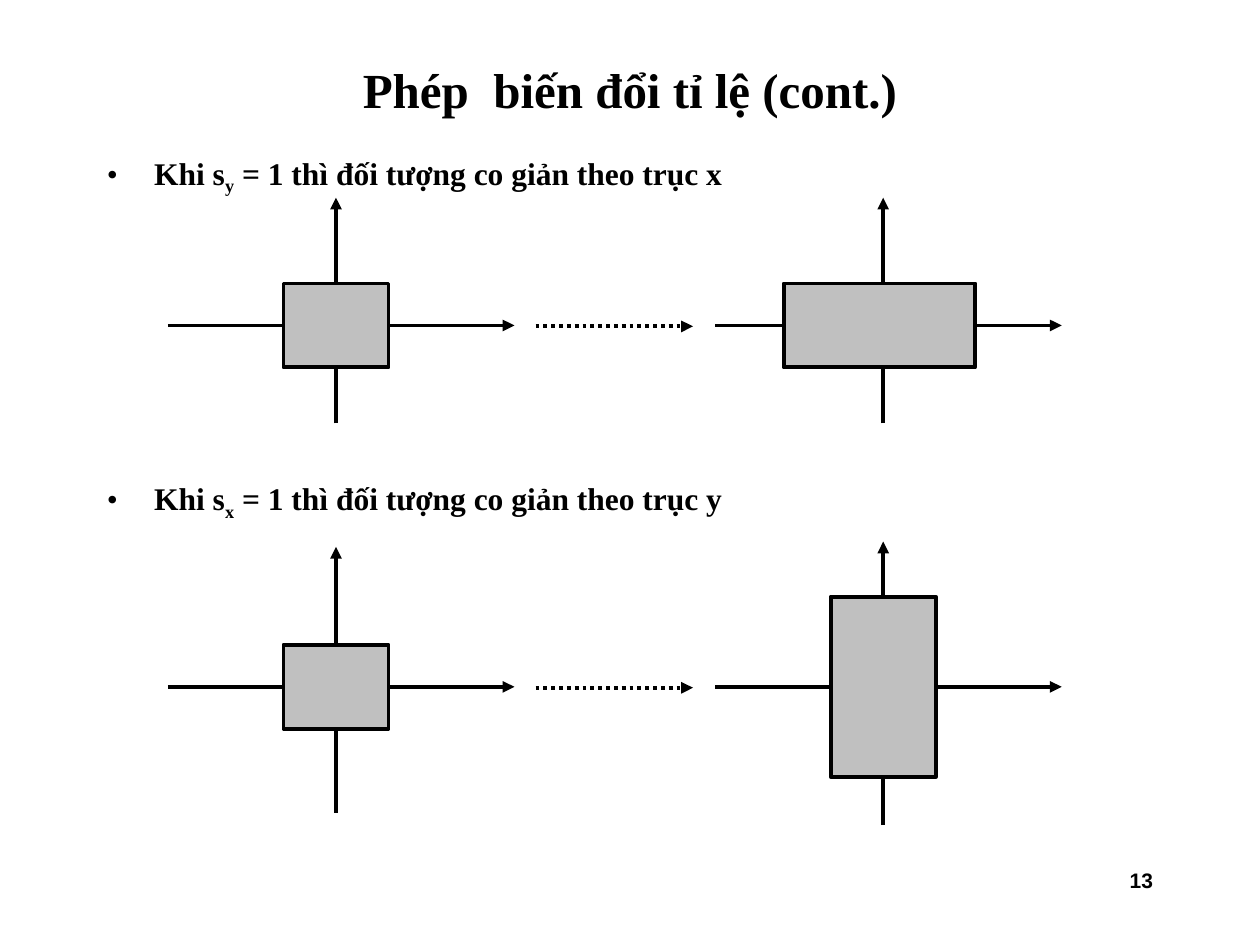
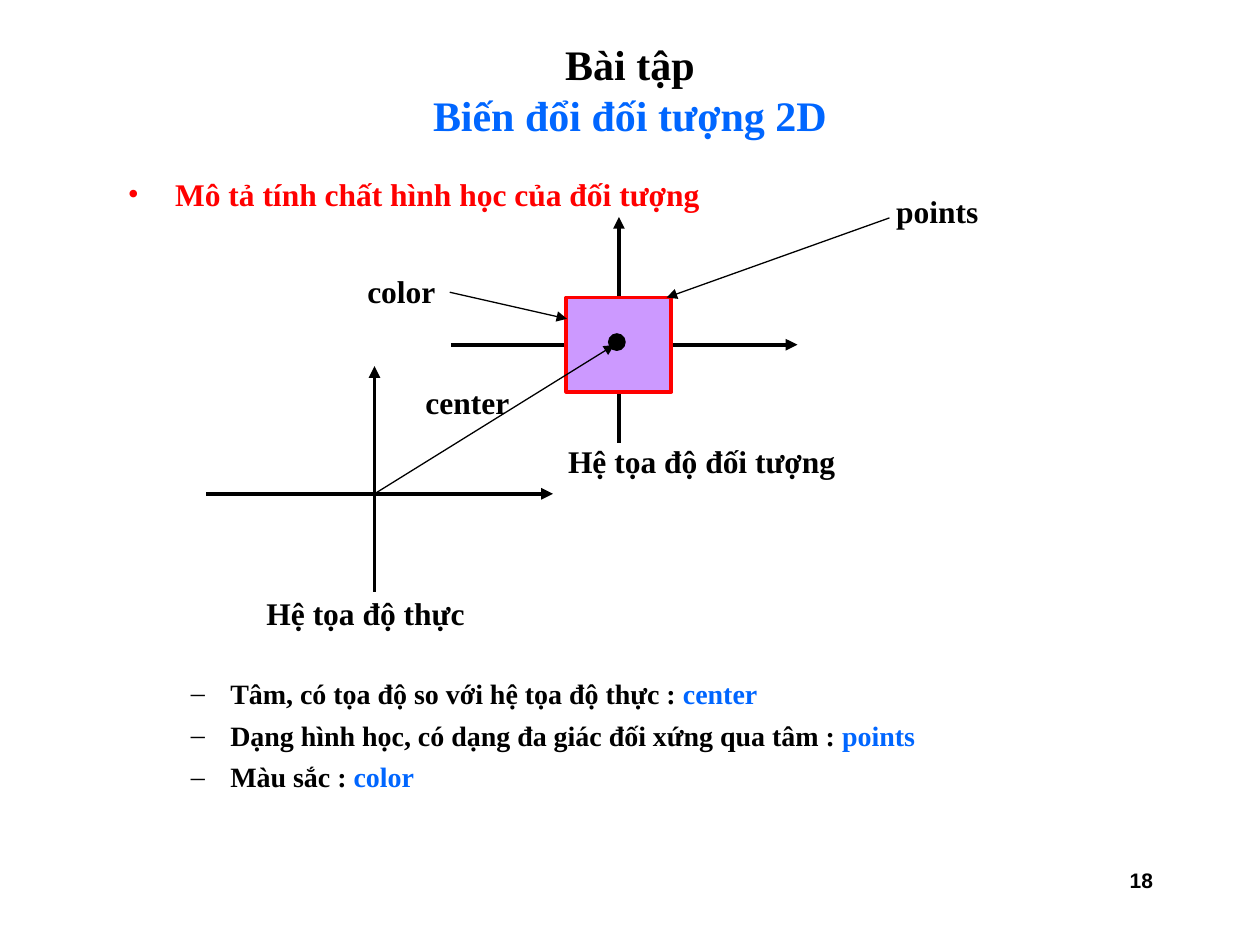
from dataclasses import dataclass
from typing import NamedTuple, Optional, Sequence

from lxml import etree
from pptx import Presentation
from pptx import util as u
from pptx.dml.color import RGBColor
from pptx.enum import dml, shapes, text
from pptx.oxml import ns

Pt = u.Pt


# Theme: colours, fonts, type sizes and line widths
@dataclass(frozen=True)
class Theme:
    black: str = "000000"
    blue: str = "0066FF"
    red: str = "FF0000"
    grey: str = "C0C0C0"
    violet: str = "CC99FF"
    serif: str = "Times New Roman"
    sans: str = "Arial"
    title: float = 28
    two_line_title: float = 24
    body: float = 18
    detail: float = 16
    page_number: float = 12
    thick: float = 2.25
    thin: float = 0.75


THEME = Theme()


# Repeated elements
class Point(NamedTuple):
    x: float
    y: float


class Area(NamedTuple):
    left: float
    top: float
    width: float
    height: float


class Span(NamedTuple):
    text: str
    color: Optional[str] = None
    subscript: bool = False


@dataclass(frozen=True)
class Style:
    size: float = THEME.body
    color: str = THEME.black
    font: str = THEME.serif
    align: text.PP_ALIGN = text.PP_ALIGN.LEFT
    anchor: text.MSO_ANCHOR = text.MSO_ANCHOR.TOP
    bullet: str = ""
    margin: float = 0
    hanging: float = 0
    space_between: float = 0


@dataclass(frozen=True)
class Axes:
    """A coordinate cross, optionally with a box placed on its origin."""
    origin: Point
    up: float = 73
    down: float = 56
    box_width: float = 0
    box_height: float = 0
    box_shift: float = 0
    fill: str = THEME.grey
    outline: str = THEME.black


@dataclass(frozen=True)
class Scaling:
    """A bullet with the object before and after scaling."""
    axis: str
    direction: str
    bullet_top: float
    before: Axes
    after: Axes


AXIS_LEFT, AXIS_RIGHT = 96, 102
TITLE_AREA = Area(54, 24, 612, 54)
PAGE_NUMBER_AREA = Area(516, 492, 150, 36)
PAGE_NUMBER = Style(THEME.page_number, font=THEME.sans, align=text.PP_ALIGN.RIGHT)
BULLET = Style(bullet="•", margin=27, hanging=27)
RED_BULLET = Style(color=THEME.red, bullet="•", margin=27, hanging=27)
DASH = Style(THEME.detail, bullet="–", margin=58.5, hanging=22.5, space_between=4.7)
LABEL = Style()


# Text
def add_bullet(paragraph, style: Style) -> None:
    properties = paragraph._p.get_or_add_pPr()
    properties.set("marL", str(Pt(style.margin)))
    properties.set("indent", str(-Pt(style.hanging)))
    color = etree.SubElement(properties, ns.qn("a:buClr"))
    etree.SubElement(color, ns.qn("a:srgbClr"), val=style.color)
    etree.SubElement(properties, ns.qn("a:buFont"), typeface=style.font)
    etree.SubElement(properties, ns.qn("a:buChar"), char=style.bullet)


def add_text(slide, area: Area, lines: Sequence[Sequence[Span]], style: Style) -> None:
    box = slide.shapes.add_textbox(*map(Pt, area))
    frame = box.text_frame
    frame.word_wrap = True
    frame.vertical_anchor = style.anchor
    for index, spans in enumerate(lines):
        paragraph = frame.add_paragraph() if index else frame.paragraphs[0]
        paragraph.alignment = style.align
        if style.bullet:
            add_bullet(paragraph, style)
        if index and style.space_between:
            paragraph.space_before = Pt(style.space_between)
        font = paragraph.font
        font.name, font.size, font.bold = style.font, Pt(style.size), True
        font.color.rgb = RGBColor.from_string(style.color)
        for span in spans:
            run = paragraph.add_run()
            run.text = span.text
            if span.color:
                run.font.color.rgb = RGBColor.from_string(span.color)
            if span.subscript:
                run._r.get_or_add_rPr().set("baseline", "-25000")


def add_slide(presentation, title: Sequence[Sequence[Span]], size: float, number: int):
    slide = presentation.slides.add_slide(presentation.slide_layouts[6])
    style = Style(size, align=text.PP_ALIGN.CENTER, anchor=text.MSO_ANCHOR.MIDDLE)
    add_text(slide, TITLE_AREA, title, style)
    add_text(slide, PAGE_NUMBER_AREA, [[Span(str(number))]], PAGE_NUMBER)
    return slide


# Drawing
def add_arrow(slide, start: Point, end: Point, width: float = THEME.thick,
              dotted: bool = False) -> None:
    arrow = slide.shapes.add_connector(
        shapes.MSO_CONNECTOR.STRAIGHT, *map(Pt, (*start, *end)))
    arrow.line.width = Pt(width)
    arrow.line.color.rgb = RGBColor.from_string(THEME.black)
    if dotted:
        arrow.line.dash_style = dml.MSO_LINE.ROUND_DOT
    etree.SubElement(arrow.line._get_or_add_ln(), ns.qn("a:tailEnd"), type="triangle")
    etree.SubElement(arrow._element.spPr, ns.qn("a:effectLst"))


def add_figure(slide, kind: shapes.MSO_SHAPE, area: Area, fill: str, outline: str,
               width: float = THEME.thick) -> None:
    shape = slide.shapes.add_shape(kind, *map(Pt, area))
    shape.shadow.inherit = False
    shape.fill.solid()
    shape.fill.fore_color.rgb = RGBColor.from_string(fill)
    shape.line.color.rgb = RGBColor.from_string(outline)
    shape.line.width = Pt(width)


def add_axes(slide, axes: Axes) -> None:
    x, y = axes.origin
    add_arrow(slide, Point(x, y + axes.down), Point(x, y - axes.up))
    add_arrow(slide, Point(x - AXIS_LEFT, y), Point(x + AXIS_RIGHT, y))
    if axes.box_width:
        area = Area(x + axes.box_shift - axes.box_width / 2, y - axes.box_height / 2,
                    axes.box_width, axes.box_height)
        add_figure(slide, shapes.MSO_SHAPE.RECTANGLE, area, axes.fill, axes.outline)


# Slide: scaling along one axis
def build_scaling(presentation) -> None:
    slide = add_slide(presentation, [[Span("Phép  biến đổi tỉ lệ (cont.)")]],
                      THEME.title, 13)
    before_x, after_x, row_1, row_2 = 192, 504.7, 186, 392.5
    scalings = [
        Scaling("y", "x", 84.2,
                Axes(Point(before_x, row_1), box_width=60, box_height=48),
                Axes(Point(after_x, row_1), box_width=109.5, box_height=48,
                     box_shift=-2.2)),
        Scaling("x", "y", 270,
                Axes(Point(before_x, row_2), 80, 72, 60, 48),
                Axes(Point(after_x, row_2), 83, 79, 60, 103)),
    ]
    for scaling in scalings:
        spans = [Span("Khi s"), Span(scaling.axis, subscript=True),
                 Span(f" = 1 thì đối tượng co giản theo trục {scaling.direction}")]
        add_text(slide, Area(54, scaling.bullet_top, 630, 32), [spans], BULLET)
        add_axes(slide, scaling.before)
        y = scaling.before.origin.y + 0.5
        add_arrow(slide, Point(306, y), Point(396, y), dotted=True)
        add_axes(slide, scaling.after)


# Slide: exercise on describing a 2D object
def build_exercise(presentation) -> None:
    title = [[Span("Bài tập")], [Span("Biến đổi đối tượng 2D", THEME.blue)]]
    slide = add_slide(presentation, title, THEME.two_line_title, 18)
    add_text(slide, Area(66, 96.5, 630, 32),
             [[Span("Mô tả tính chất hình học của đối tượng")]], RED_BULLET)

    # Object and world coordinate systems
    world = Point(214, 282.2)
    add_axes(slide, Axes(Point(353.7, 197), box_width=60, box_height=54,
                         fill=THEME.violet, outline=THEME.red))
    add_figure(slide, shapes.MSO_SHAPE.OVAL, Area(347.8, 190.8, 9.4, 9.4),
               THEME.black, THEME.black, THEME.thin)
    add_axes(slide, Axes(world))

    # Pointers and labels
    pointers = [(world, Point(351, 197.2)),
                (Point(508.3, 124.5), Point(381, 170)),
                (Point(257, 167), Point(324, 182.2))]
    for start, end in pointers:
        add_arrow(slide, start, end, THEME.thin)
    labels = {
        "center": Area(236, 215.3, 73, 29),
        "points": Area(505, 106.3, 73, 29),
        "color": Area(202.8, 151.7, 73, 29),
        "Hệ tọa độ thực": Area(145.2, 336, 212, 29),
        "Hệ tọa độ đối tượng": Area(317.5, 248.9, 212, 29),
    }
    for label, area in labels.items():
        add_text(slide, area, [[Span(label)]], LABEL)

    # Attributes of the object
    attributes = {
        "Tâm, có tọa độ so với hệ tọa độ thực : ": "center",
        "Dạng hình học, có dạng đa giác đối xứng qua tâm : ": "points",
        "Màu sắc : ": "color",
    }
    lines = [[Span(meaning), Span(name, THEME.blue)] for meaning, name in attributes.items()]
    add_text(slide, Area(66, 383, 630, 75), lines, DASH)


def main() -> None:
    presentation = Presentation()
    presentation.slide_width, presentation.slide_height = Pt(720), Pt(540)
    build_scaling(presentation)
    build_exercise(presentation)
    presentation.save("out.pptx")


if __name__ == "__main__":
    main()
